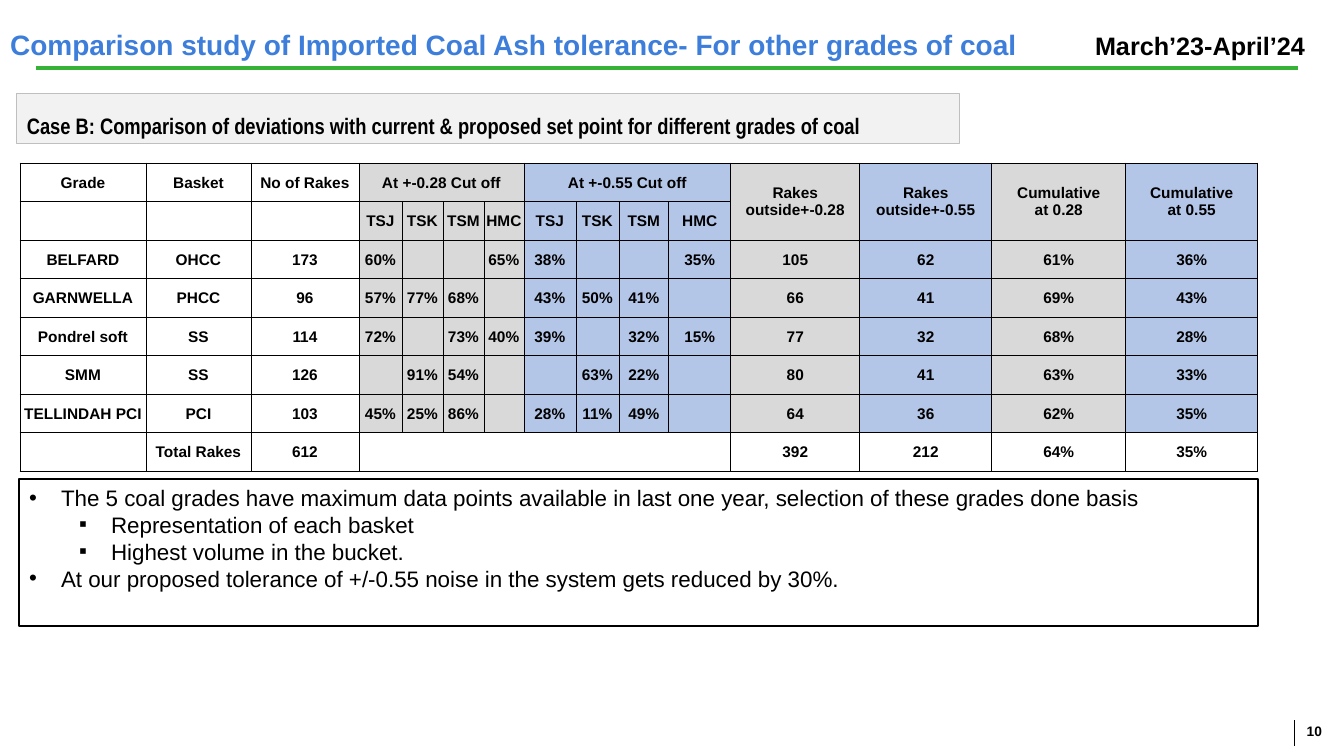
from lxml import etree
from pptx import Presentation
from pptx.dml.color import RGBColor
from pptx.enum.shapes import MSO_CONNECTOR, MSO_SHAPE
from pptx.enum.text import MSO_ANCHOR, MSO_AUTO_SIZE, PP_ALIGN
from pptx.oxml.ns import qn
from pptx.util import Pt

PX = 12192000 / 1344
LINE, RECT = MSO_CONNECTOR.STRAIGHT, MSO_SHAPE.RECTANGLE
TOP, MIDDLE = MSO_ANCHOR.TOP, MSO_ANCHOR.MIDDLE
LEFT, CENTER, RIGHT, JUSTIFY = PP_ALIGN.LEFT, PP_ALIGN.CENTER, PP_ALIGN.RIGHT, PP_ALIGN.JUSTIFY
NO_FIT = MSO_AUTO_SIZE.NONE

BLACK = RGBColor(0x00, 0x00, 0x00)
WHITE = RGBColor(0xFF, 0xFF, 0xFF)
TITLE_BLUE = RGBColor(0x3D, 0x7E, 0xDB)
GREEN = RGBColor(0x36, 0xB2, 0x36)
PALE = RGBColor(0xF2, 0xF2, 0xF2)
SILVER = RGBColor(0xBF, 0xBF, 0xBF)
GREY = RGBColor(0xD9, 0xD9, 0xD9)
BLUE = RGBColor(0xB4, 0xC6, 0xE7)


def px(*lengths):
    return [round(n * PX) for n in lengths]


def style(p, size, color=BLACK, bold=True, name="Arial"):
    for r in p.runs:
        r.font.size, r.font.bold, r.font.name = Pt(size), bold, name
        r.font.color.rgb = color


prs = Presentation()
prs.slide_width, prs.slide_height = px(1344, 756)
s = prs.slides.add_slide(prs.slide_layouts[1])

number = s.shapes.add_textbox(*px(1278, 723, 44, 16))
tf = number.text_frame
tf.margin_left = tf.margin_right = tf.margin_top = tf.margin_bottom = 0
tf.word_wrap, tf.vertical_anchor = True, MIDDLE
p = tf.paragraphs[0]
p.text = "10"
p.alignment = RIGHT
style(p, 9.8)

divider = s.shapes.add_table(1, 1, *px(1156, 721, 139, 24)).table
divider.first_row = divider.horz_banding = False
cell = divider.cell(0, 0)
cell.margin_left = cell.margin_right = cell.margin_top = cell.margin_bottom = 0
cell.fill.background()
etree.SubElement(cell.text_frame.paragraphs[0]._p, qn("a:endParaRPr"), sz="900")
borders = [(cell, ["a:lnR"], 0.75)]

rule = s.shapes.add_connector(LINE, *px(36, 68, 1298, 68))
rule.line.color.rgb, rule.line.width = GREEN, Pt(3)
etree.SubElement(rule._element.spPr, qn("a:effectLst"))

rows = [
    "Grade|Basket|No of Rakes|At +-0.28 Cut off||||At +-0.55 Cut off||||"
    "Rakes outside+-0.28|Rakes outside+-0.55|Cumulative\nat 0.28|Cumulative\nat 0.55",
    "|||TSJ|TSK|TSM|HMC|TSJ|TSK|TSM|HMC||||",
    "BELFARD|OHCC|173|60%|||65%|38%|||35%|105|62|61%|36%",
    "GARNWELLA|PHCC|96|57%|77%|68%||43%|50%|41%||66|41|69%|43%",
    "Pondrel soft|SS|114|72%||73%|40%|39%||32%|15%|77|32|68%|28%",
    "SMM|SS|126||91%|54%|||63%|22%||80|41|63%|33%",
    "TELLINDAH PCI|PCI|103|45%|25%|86%||28%|11%|49%||64|36|62%|35%",
    "|Total Rakes|612|||||||||392|212|64%|35%",
]
widths = [126, 105, 108, 43, 41, 41, 40, 52, 43, 50, 62, 129, 132, 134, 132]
fills = [WHITE] * 3 + [GREY] * 4 + [BLUE] * 4 + [GREY, BLUE] * 2
table = s.shapes.add_table(len(rows), len(widths), *px(20, 163, sum(widths), 308)).table
table.first_row = table.horz_banding = False
for column, width in zip(table.columns, widths):
    column.width = px(width)[0]
for i, row in enumerate(rows):
    for j, text in enumerate(row.split("|")):
        cell = table.cell(i, j)
        cell.margin_left = cell.margin_right = cell.margin_top = px(1)[0]
        cell.margin_bottom = 0
        cell.vertical_anchor = MIDDLE
        cell.fill.solid()
        cell.fill.fore_color.rgb = WHITE if i == len(rows) - 1 else fills[j]
        cell.text_frame.text = text
        for p in cell.text_frame.paragraphs:
            p.alignment = CENTER
            style(p, 11)
        borders.append((cell, ["a:lnL", "a:lnR", "a:lnT", "a:lnB"], 0.5))
for top, left, bottom, right in [(0, 3, 0, 6), (0, 7, 0, 10), (7, 3, 7, 10)] + [
    (0, j, 1, j) for j in range(11, 15)
]:
    table.cell(top, left).merge(table.cell(bottom, right))

for cell, sides, weight in borders:
    tcPr = cell._tc.get_or_add_tcPr()
    for k, side in enumerate(sides):
        ln = etree.Element(qn(side), w=str(Pt(weight)))
        solid = etree.SubElement(ln, qn("a:solidFill"))
        etree.SubElement(solid, qn("a:srgbClr"), val=str(BLACK))
        tcPr.insert(k, ln)

body = s.placeholders[1]
body.left, body.top, body.width, body.height = px(19, 479, 1239, 147)
body.fill.solid()
body.fill.fore_color.rgb = WHITE
body.line.color.rgb, body.line.width = BLACK, Pt(2)
tf = body.text_frame
tf.auto_size, tf.vertical_anchor = NO_FIT, TOP
notes = [
    (0, "The 5 coal grades have maximum data points available in last one year, "
        "selection of these grades done basis"),
    (1, "Representation of each basket"),
    (1, "Highest volume in the bucket."),
    (0, "At our proposed tolerance of +/-0.55 noise in the system gets reduced by 30%."),
]
tf.text = "\n".join(text for level, text in notes)
for p, (level, text) in zip(tf.paragraphs, notes):
    p.level, p.space_before = level, Pt(0)
    pPr = p._p.get_or_add_pPr()
    pPr.set("marL", str(px(32 + 50 * level)[0]))
    pPr.set("indent", str(px(-32)[0]))
    etree.SubElement(pPr, qn("a:buFont"), typeface="Arial")
    etree.SubElement(pPr, qn("a:buChar"), char="•▪"[level])
    style(p, 16, bold=False)

case = s.shapes.add_shape(RECT, *px(17, 94, 943, 50))
case.shadow.inherit = False
case.fill.solid()
case.fill.fore_color.rgb = PALE
case.line.color.rgb, case.line.width = SILVER, Pt(0.75)
tf = case.text_frame
tf.word_wrap, tf.vertical_anchor = True, MIDDLE
p = tf.paragraphs[0]
p.text = "Case B: Comparison of deviations with current & proposed set point for different grades of coal"
p.alignment, p.line_spacing = JUSTIFY, 1.5
style(p, 16, name="Arial Narrow")

title = s.shapes.title
title.left, title.top, title.width, title.height = px(0, 22, 1335, 44)
tf = title.text_frame
tf.auto_size, tf.vertical_anchor = NO_FIT, MIDDLE
p = tf.paragraphs[0]
p.text = "Comparison study of Imported Coal Ash tolerance- For other grades of coal"
p.alignment = LEFT
tabs = etree.SubElement(p._p.get_or_add_pPr(), qn("a:tabLst"))
etree.SubElement(tabs, qn("a:tab"), pos=str(px(1085)[0]), algn="l")
style(p, 20, TITLE_BLUE)
r = p.add_run()
r.text = "\tMarch’23-April’24"
r.font.size, r.font.bold, r.font.name = Pt(18), True, "Arial"
r.font.color.rgb = BLACK

prs.save("out.pptx")
